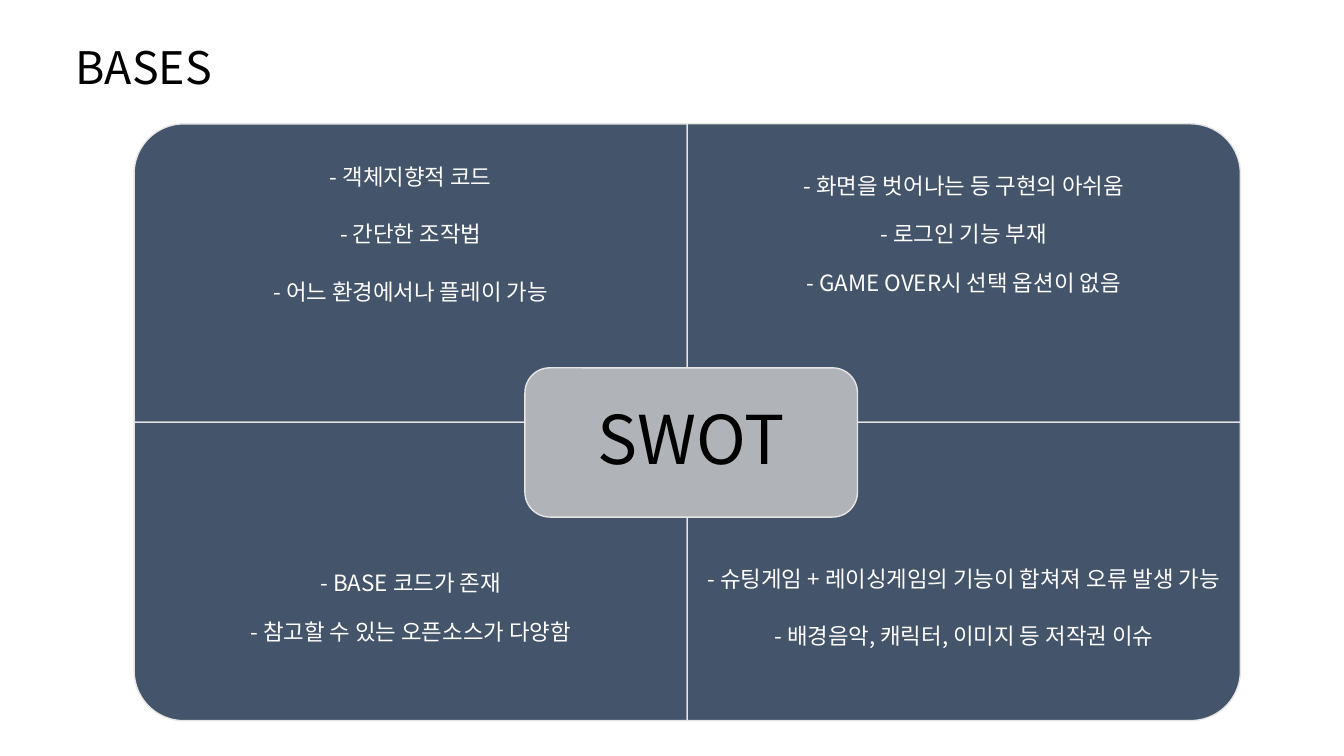
"""Build the SWOT matrix slide."""
from dataclasses import dataclass

from lxml.etree import SubElement
from pptx import Presentation
from pptx.dml.color import RGBColor
from pptx.enum.shapes import MSO_SHAPE
from pptx.enum.text import MSO_ANCHOR, MSO_AUTO_SIZE, PP_ALIGN
from pptx.oxml.ns import qn
from pptx.util import Cm, Pt

COLORS = {"panel": "44546A", "hub": "B0B4B9", "edge": "E7E6E6",
          "light": "FFFFFF", "dark": "000000"}
FONT = "Noto Sans CJK KR"
LEFT, TOP, PANEL_W, PANEL_H, TEXT_H = 3.38, 3.12, 13.94, 7.52, 5.64
CENTERED = {"alignment": PP_ALIGN.CENTER, "line_spacing": 0.9}


@dataclass
class Quadrant:
    col: int
    row: int
    rotation: int
    gap: float
    lines: list[str]


QUADRANTS = [
    Quadrant(0, 0, 270, 24, ["- 객체지향적 코드", "- 간단한 조작법", "- 어느 환경에서나 플레이 가능"]),
    Quadrant(1, 0, 0, 17.3, ["- 화면을 벗어나는 등 구현의 아쉬움", "- 로그인 기능 부재",
                             "- GAME OVER시 선택 옵션이 없음"]),
    Quadrant(0, 1, 180, 17.3, ["- BASE 코드가 존재", "- 참고할 수 있는 오픈소스가 다양함"]),
    Quadrant(1, 1, 90, 24, ["- 슈팅게임 + 레이싱게임의 기능이 합쳐져 오류 발생 가능",
                            "- 배경음악, 캐릭터, 이미지 등 저작권 이슈"]),
]


def apply(target, values: dict) -> None:
    """Set every attribute in values on target."""
    for name, value in values.items():
        setattr(target, name, value)


def write(tf, lines: list[str], size: float, color: str, para: dict,
          frame: dict, inset: float, gap: float = 0) -> None:
    """Fill a text frame with one formatted paragraph per line."""
    margins = {f"margin_{side}": Cm(inset) for side in ("left", "top", "right", "bottom")}
    apply(tf, margins | {"word_wrap": True} | frame)
    for i, line in enumerate(lines):
        p = tf.paragraphs[0] if i == 0 else tf.add_paragraph()
        apply(p, para)
        if i:
            p.space_before = Pt(gap)
        r = p.add_run()
        r.text = line
        apply(r.font, {"size": Pt(size), "name": FONT, "bold": False})
        r.font.color.rgb = RGBColor.from_string(COLORS[color])
        SubElement(r.font._element, qn("a:ea"), typeface=FONT)


def add_panel(s, kind: MSO_SHAPE, box: tuple, fill: str, rotation: int = 0):
    """Draw a filled shape whose box is given as it looks after rotation."""
    x, y, w, h = box
    if rotation % 180:
        x, y, w, h = x + (w - h) / 2, y + (h - w) / 2, h, w
    sp = s.shapes.add_shape(kind, Cm(x), Cm(y), Cm(w), Cm(h))
    sp.rotation = rotation
    sp.shadow.inherit = False
    sp.fill.solid()
    sp.fill.fore_color.rgb = RGBColor.from_string(COLORS[fill])
    sp.line.color.rgb = RGBColor.from_string(COLORS["edge"])
    sp.line.width = Pt(1)
    return sp


def add_quadrant(s, q: Quadrant) -> None:
    """Draw one quadrant and its text, which keeps to the outer edge."""
    x, y = LEFT + q.col * PANEL_W, TOP + q.row * PANEL_H
    add_panel(s, MSO_SHAPE.ROUND_1_RECTANGLE, (x, y, PANEL_W, PANEL_H), "panel", q.rotation)
    text_y = y + q.row * (PANEL_H - TEXT_H)
    box = s.shapes.add_textbox(Cm(x), Cm(text_y), Cm(PANEL_W), Cm(TEXT_H))
    write(box.text_frame, q.lines, 16, "light", CENTERED,
          {"vertical_anchor": MSO_ANCHOR.MIDDLE}, 0.3, q.gap)


def main() -> None:
    """Create and save the slide."""
    prs = Presentation()
    apply(prs, {"slide_width": Cm(33.87), "slide_height": Cm(19.05)})
    s = prs.slides.add_slide(prs.slide_layouts[5])
    title = s.shapes.title
    apply(title, {"left": Cm(1.65), "top": Cm(0.86), "width": Cm(5.36), "height": Cm(1.63)})
    write(title.text_frame, ["BASES"], 32, "dark", {"alignment": PP_ALIGN.LEFT},
          {"vertical_anchor": MSO_ANCHOR.TOP, "auto_size": MSO_AUTO_SIZE.SHAPE_TO_FIT_TEXT,
           "margin_left": Cm(0.25), "margin_right": Cm(0.25)}, 0.13)
    for q in QUADRANTS:
        add_quadrant(s, q)
    hub = add_panel(s, MSO_SHAPE.ROUNDED_RECTANGLE, (13.23, 9.27, 8.38, 3.76), "hub")
    write(hub.text_frame, ["SWOT"], 48, "dark", CENTERED,
          {"vertical_anchor": MSO_ANCHOR.MIDDLE}, 0.5)
    prs.save("out.pptx")


if __name__ == "__main__":
    main()
